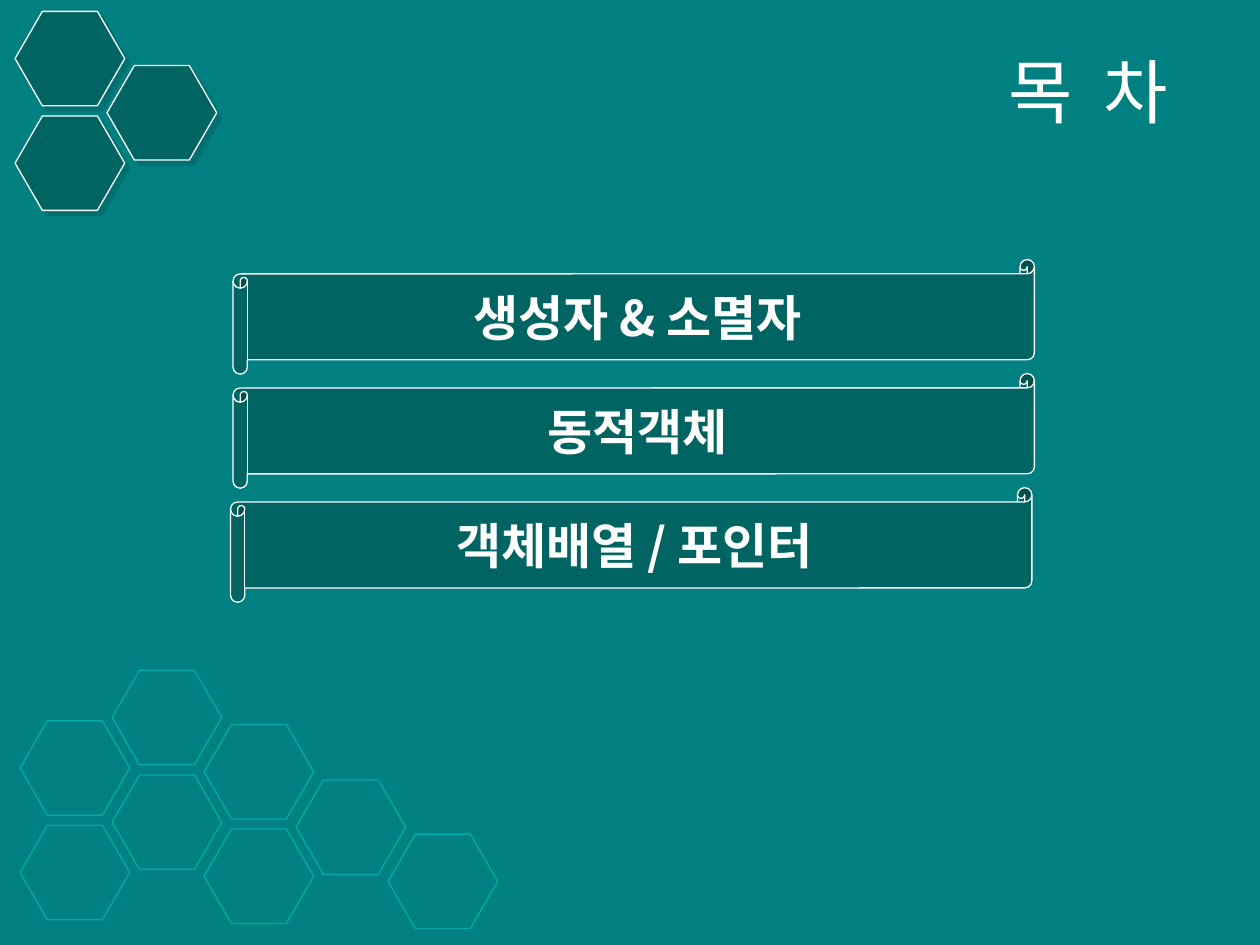
from lxml import etree
from pptx import Presentation
from pptx.dml.color import RGBColor
from pptx.enum.shapes import MSO_SHAPE
from pptx.enum.text import MSO_ANCHOR, PP_ALIGN
from pptx.oxml import parse_xml
from pptx.oxml.ns import nsdecls, qn
from pptx.util import Inches, Pt

HEXAGON, SCROLL = MSO_SHAPE.HEXAGON, MSO_SHAPE.HORIZONTAL_SCROLL
MIDDLE = MSO_ANCHOR.MIDDLE
CENTER, RIGHT = PP_ALIGN.CENTER, PP_ALIGN.RIGHT
TEAL, DARK, BRIGHT, WHITE = "008080", "006462", "00ACA8", "FFFFFF"
HEX_W, HEX_H, COL_STEP, ROW_STEP = 0.87, 0.75, 0.73, 0.83


def rgb(value):
    return RGBColor.from_string(value)


def write(tf, text, size, font, align, bold=False, east_asian=None):
    tf.word_wrap = True
    tf.vertical_anchor = MIDDLE
    p = tf.paragraphs[0]
    p.alignment = align
    r = p.add_run()
    r.text = text
    r.font.size = Pt(size)
    r.font.bold = bold
    r.font.name = font
    r.font.color.rgb = rgb(WHITE)
    if east_asian:
        ea = etree.SubElement(r.font._element, qn("a:ea"))
        ea.set("typeface", east_asian)


class SlideBuilder:
    def __init__(self, prs):
        self.s = prs.slides.add_slide(prs.slide_layouts[5])
        fill = self.s.background.fill
        fill.solid()
        fill.fore_color.rgb = rgb(TEAL)

    def shape(self, kind, x, y, w, h, line, fill=None):
        sp = self.s.shapes.add_shape(kind, Inches(x), Inches(y), Inches(w), Inches(h))
        sp.shadow.inherit = False
        if fill:
            sp.fill.solid()
            sp.fill.fore_color.rgb = rgb(fill)
        else:
            sp.fill.background()
        sp.line.color.rgb = rgb(line)
        sp.line.width = Pt(0.75)
        return sp

    def hexagon(self, x, y, line, fill=None, shadow=False):
        sp = self.shape(HEXAGON, x, y, HEX_W, HEX_H, line, fill)
        sp.adjustments[0] = 0.289
        if shadow:
            effects = sp._element.spPr.find(qn("a:effectLst"))
            effects.append(parse_xml(
                f'<a:outerShdw {nsdecls("a")} dist="{Pt(4.2)}" dir="2700000" algn="ctr" rotWithShape="0">'
                f'<a:srgbClr val="{DARK}"><a:alpha val="50000"/></a:srgbClr></a:outerShdw>'))

    def honeycomb(self, left, columns, **style):
        for col, (top, count) in enumerate(columns):
            for row in range(count):
                self.hexagon(left + col * COL_STEP, top + row * ROW_STEP, **style)

    def title(self, text):
        sp = self.s.shapes.title
        sp.left, sp.top = Inches(1.85), Inches(0.28)
        sp.width, sp.height = Inches(7.52), Inches(0.87)
        write(sp.text_frame, text, 40, "Arial", RIGHT)

    def scroll(self, text, x, y):
        sp = self.shape(SCROLL, x, y, 6.36, 0.91, WHITE, DARK)
        font = "Noto Sans CJK KR"
        write(sp.text_frame, text, 28, font, CENTER, bold=True, east_asian=font)


def main():
    prs = Presentation()
    prs.slide_width, prs.slide_height = Inches(10), Inches(7.5)
    slide = SlideBuilder(prs)
    slide.honeycomb(0.16, [(5.72, 2), (5.32, 2), (5.75, 2), (6.19, 1), (6.62, 1)], line=BRIGHT)
    slide.honeycomb(0.12, [(0.09, 2), (0.52, 1)], line=WHITE, fill=DARK, shadow=True)
    slide.title("목  차")
    topics = [("생성자 & 소멸자", 1.85), ("동적객체", 1.85), ("객체배열 / 포인터", 1.83)]
    for i, (text, x) in enumerate(topics):
        slide.scroll(text, x, 2.06 + i * 0.905)
    prs.save("out.pptx")


if __name__ == "__main__":
    main()
